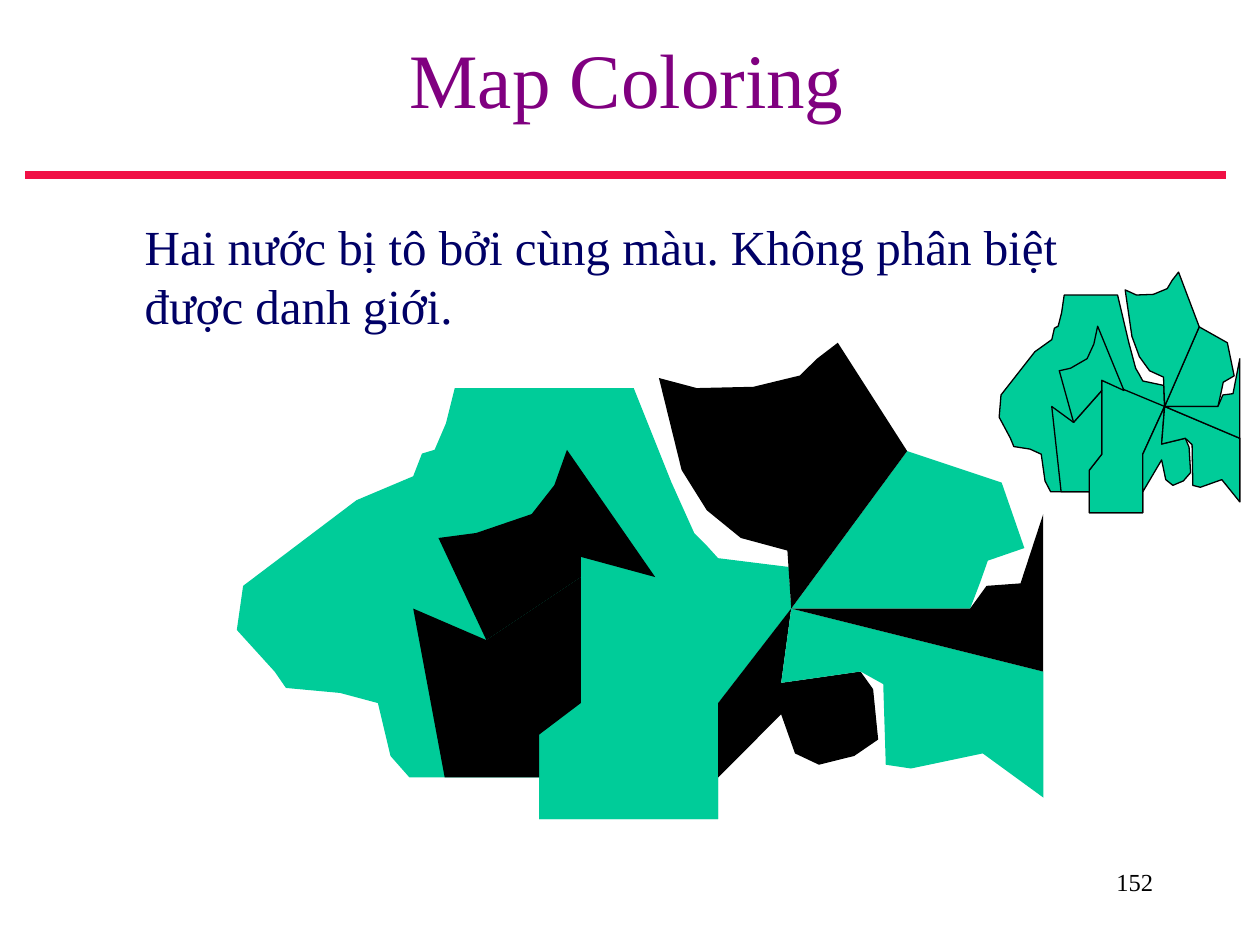
from dataclasses import dataclass
from lxml import etree
from pptx import Presentation, util as u
from pptx.dml.color import RGBColor
from pptx.enum import shapes, text
from pptx.oxml.ns import qn


@dataclass
class Theme:
    font: str = "Times New Roman"
    title: str = "800080"
    body: str = "000066"
    rule: str = "F01045"
    land: str = "00CC99"
    ink: str = "000000"
    big: int = 44
    mid: int = 28
    low: int = 14


T = Theme()
W, H = 10, 7.5
HEAD = "Map Coloring"
BODY = "Hai nước bị tô bởi cùng màu. Không phân biệt được danh giới."
PAGE = "152"

HUB = (6.28, 4.83)
FORK = (5.7, 5.58)
PORT = (5.7, 6.17)
DOCK = (5.7, 6.5)
QUAY = (4.28, 6.5)
FORD = (4.28, 6.17)
BEND = (4.28, 5.83)
PASS = (4.61, 5.58)
GATE = (4.61, 4.58)
PEAK = (4.61, 4.42)
WELL = (3.86, 5.08)
HORN = (7.2, 3.58)
COVE = (7.7, 4.83)
EDGE = (8.28, 5.33)
CAPE = (6.2, 5.42)
WEST = [(5.03, 3.08), (3.61, 3.08), (3.54, 3.36), (3.45, 3.57), (3.35, 3.6), (3.28, 3.78),
        (2.83, 3.97), (1.93, 4.65), (1.88, 5), (2.18, 5.33), (2.27, 5.46), (2.7, 5.5),
        (3, 5.58), (3.1, 6), (3.25, 6.17)]
GULF = [(6.26, 4.5), (5.7, 4.43), (5.6, 4.32), (5.51, 4.23), (5.33, 3.83)]
NORTH = [(6.25, 4.37), (5.88, 4.27), (5.61, 4.05), (5.41, 3.73), (5.23, 3), (5.53, 3.08),
         (5.98, 3.07), (6.35, 2.98), (6.48, 2.85), (6.65, 2.72)]
LAKE = [(3.48, 4.27), (3.78, 4.23), (4.22, 4.08), (4.4, 3.85), (4.5, 3.57), (5.2, 4.58)]
BAY = [(6.2, 5.67), (6.31, 5.98), (6.5, 6.07), (6.78, 6), (6.97, 5.87), (6.93, 5.47),
       (6.83, 5.33)]
SOUTH = [(8.28, 6.33), (7.8, 5.98), (7.23, 6.1), (7.03, 6.07), (7.01, 5.43), (6.83, 5.33)]
EAST = [(7.78, 4.62), (7.84, 4.45), (8.13, 4.35), (7.95, 3.83)]
SHORE = [(8.28, 4.08), (8.1, 4.63), (7.83, 4.65)]
REGIONS = [
    ("land", [*WEST, FORD, QUAY, DOCK, FORK, HUB, *GULF]),
    ("land", [QUAY, BEND, PASS, PEAK, HUB, FORK, DOCK]),
    ("ink", [(3.53, 6.17), (3.28, 4.83), WELL, GATE, PASS, BEND, FORD]),
    ("ink", [WELL, *LAKE, PEAK, GATE]),
    ("ink", [PORT, *BAY, CAPE, HUB, FORK]),
    ("land", [HUB, EDGE, *SOUTH, CAPE]),
    ("land", [HUB, COVE, *EAST, HORN]),
    ("ink", [COVE, HUB, EDGE, *SHORE]),
    ("ink", [HUB, *NORTH, HORN]),
]
FULL = (1.88, 2.72, 6.4, 3.78)
MINI = (7.93, 2.16, 1.91, 1.91)


def rgb(name):
    return RGBColor.from_string(getattr(T, name))


def draw_map(tree, box, mini):
    left, top, wide, high = box
    for fill, path in REGIONS:
        pts = [(u.Inches(left + (x - FULL[0]) * wide / FULL[2]),
                u.Inches(top + (y - FULL[1]) * high / FULL[3])) for x, y in path]
        pen = tree.build_freeform(*pts[0])
        pen.add_line_segments(pts[1:], close=True)
        land = pen.convert_to_shape()
        land.shadow.inherit = False
        land.fill.solid()
        land.fill.fore_color.rgb = rgb("land" if mini else fill)
        if mini:
            land.line.color.rgb = rgb("ink")
            land.line.width = u.Pt(0.75)
        else:
            land.line.fill.background()


def write(box, words, place, size, color, align, anchor):
    for key, val in zip(("left", "top", "width", "height"), place):
        setattr(box, key, u.Inches(val))
    frame = box.text_frame
    frame.text = words
    frame.word_wrap = True
    frame.vertical_anchor = anchor
    para = frame.paragraphs[0]
    para.alignment = align
    font = para.runs[0].font
    for key, val in {"name": T.font, "size": u.Pt(size)}.items():
        setattr(font, key, val)
    font.color.rgb = rgb(color)


def main():
    deck = Presentation()
    deck.slide_width, deck.slide_height = u.Inches(W), u.Inches(H)
    slide = deck.slides.add_slide(deck.slide_layouts[5])
    tree = slide.shapes
    rule = tree.add_connector(shapes.MSO_CONNECTOR.STRAIGHT,
                              *map(u.Inches, (0.2, 1.39, 9.73, 1.39)))
    rule.line.color.rgb = rgb("rule")
    rule.line.width = u.Pt(4.5)
    etree.SubElement(rule.element.spPr, qn("a:effectLst"))
    al, an = text.PP_ALIGN, text.MSO_ANCHOR
    write(tree.title, HEAD, (0.2, 0, 9.55, 1.23), T.big, "title", al.CENTER, an.MIDDLE)
    draw_map(tree, FULL, False)
    for words, place, size, color, align in (
            (BODY, (1.05, 1.67, 8.12, 1.2), T.mid, "body", al.LEFT),
            (PAGE, (7.17, 6.83, 2.08, 0.5), T.low, "ink", al.RIGHT)):
        write(tree.add_textbox(0, 0, 0, 0), words, place, size, color, align, an.TOP)
    draw_map(tree, MINI, True)
    deck.save("out.pptx")


if __name__ == "__main__":
    main()
